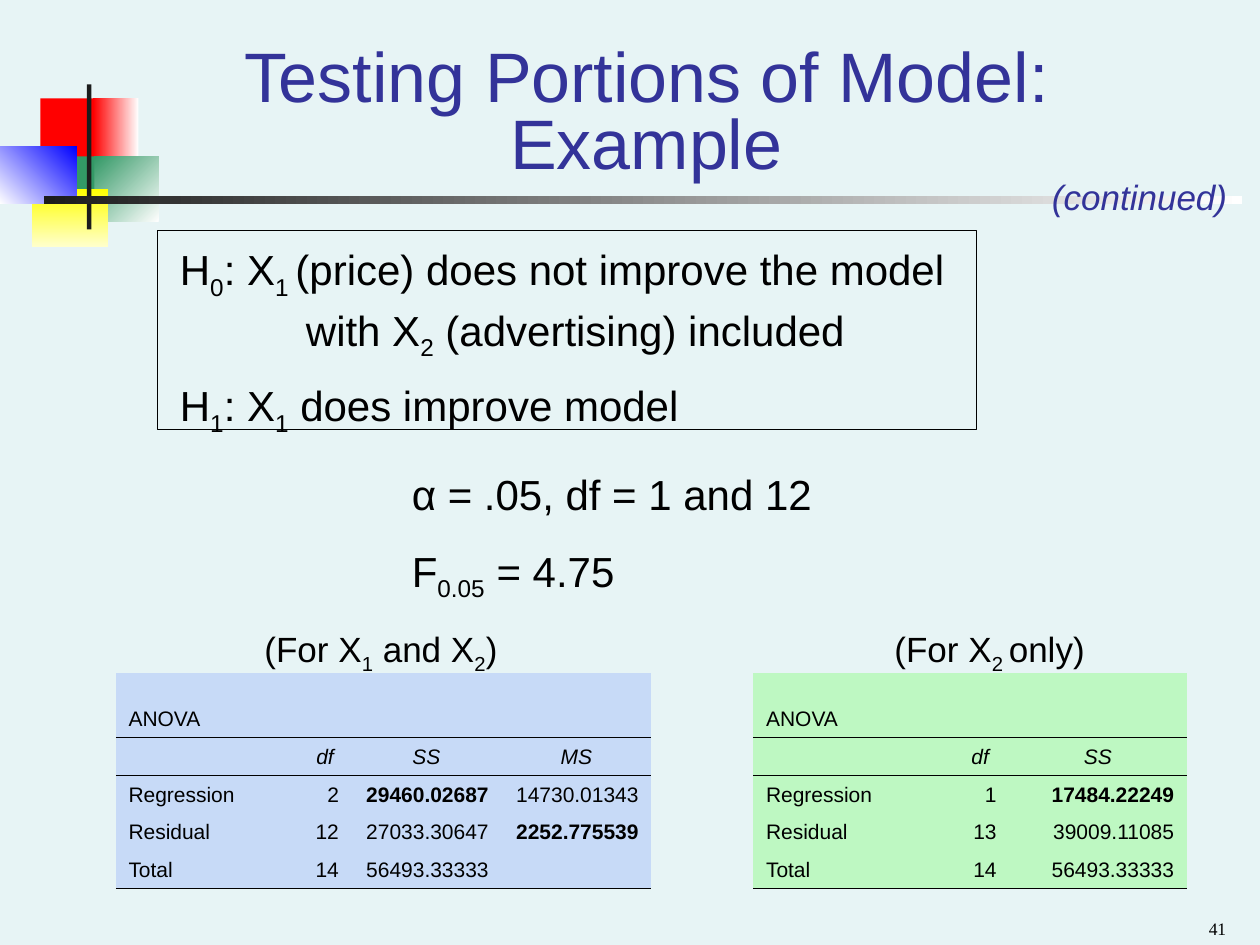
from lxml.etree import SubElement
from pptx import Presentation
from pptx.dml.color import RGBColor
from pptx.enum.shapes import MSO_SHAPE
from pptx.enum.text import MSO_ANCHOR, PP_ALIGN
from pptx.oxml.ns import qn
from pptx.util import Inches, Pt

COLORS = {
    "background": "E7F4F5", "title": "333399", "ink": "000000", "white": "FFFFFF",
    "red": "FF0000", "green": "339966", "yellow": "FFFF00", "cream": "FFFFCC",
    "blue": "0000FF", "bar": "1C1C1C", "full model": "C7DAF7", "reduced model": "BEF8C2",
}
COLUMNS, ROWS = 100, 75
WIDTH, HEIGHT = Inches(10), Inches(7.5)
PLAIN_TABLE = "{2D5ABB26-0587-4C30-8999-92F81FD0307C}"
RULED_ROWS = (0, 1, 4)
ANOVA_ROWS = (5.1, 3, 3, 3, 3)


def across(columns):
    return round(WIDTH * columns / COLUMNS)


def down(rows):
    return round(HEIGHT * rows / ROWS)


def place(box):
    left, top, width, height = box
    return across(left), down(top), across(width), down(height)


def color(name):
    return RGBColor.from_string(COLORS[name])


def write(frame, text, size=24, ink="ink", font="Arial", align=PP_ALIGN.LEFT,
          bold=False, italic=False, leading=1.0, before=0, indent=0):
    para = frame.add_paragraph() if frame.text else frame.paragraphs[0]
    para.alignment = align
    para.line_spacing = leading
    para.space_before = Pt(before)
    if indent:
        para._p.get_or_add_pPr().set("marL", str(across(indent)))
    if not text:
        SubElement(para._p, qn("a:endParaRPr"), sz=str(size * 100))
        return
    for position, piece in enumerate(text.split("|")):
        span = para.add_run()
        span.text = piece
        span.font.size = Pt(size)
        span.font.name = font
        span.font.bold = bold
        span.font.italic = italic
        span.font.color.rgb = color(ink)
        if position % 2:
            span._r.get_or_add_rPr().set("baseline", "-25000")


def add_text_area(page, box, wrap=True, anchor=MSO_ANCHOR.TOP):
    frame = page.shapes.add_textbox(*place(box)).text_frame
    frame.word_wrap = wrap
    frame.vertical_anchor = anchor
    return frame


def add_block(page, box, fills=(), angle=0):
    block = page.shapes.add_shape(MSO_SHAPE.RECTANGLE, *place(box))
    block.shadow.inherit = False
    block.line.fill.background()
    if len(fills) == 2:
        block.fill.gradient()
        block.fill.gradient_angle = angle
        for stop, name in zip(block.fill.gradient_stops, fills):
            stop.color.rgb = color(name)
    elif fills:
        block.fill.solid()
        block.fill.fore_color.rgb = color(fills[0])
    else:
        block.fill.background()
    return block


def add_ornament(page, box):
    left, top, width, height = box
    blocks = (
        (3.2, 1.1, 4.8, 5.2, ("red",), 0),
        (7.4, 1.1, 3.6, 5.2, ("white", "red"), 180),
        (7.5, 5.7, 5.1, 5.2, ("white", "green"), 135),
        (4.3, 5.7, 3.2, 5.2, ("green",), 0),
        (2.5, 8.3, 6.1, 4.6, ("yellow", "cream"), 270),
        (0, 4.9, 6.1, 4.6, ("blue", "white"), 225),
        (6.9, 0, 0.35, height, ("bar",), 0),
        (3.5, 8.9, width - 3.5, 0.6, ("white", "bar"), 180),
    )
    for x, y, block_width, block_height, fills, angle in blocks:
        add_block(page, (left + x, top + y, block_width, block_height), fills, angle)


def add_title(page, box):
    title = page.shapes.title
    title.left, title.top, title.width, title.height = place(box)
    title.text_frame.vertical_anchor = MSO_ANCHOR.BOTTOM
    write(title.text_frame, "Testing Portions of Model: Example", size=40,
          ink="title", align=PP_ALIGN.CENTER, leading=0.8)


def add_hypotheses(page, box):
    left, top, width, height = box
    frame = add_text_area(page, (left + 0.8, top + 1.7, width + 5, height - 0.6))
    write(frame, "H|0|: X|1 |(price) does not improve the model", leading=0.6)
    write(frame, "with X|2| (advertising) included", leading=0.6, before=15, indent=10)
    write(frame, "H|1|: X|1| does improve model", before=15)
    border = add_block(page, box)
    border.line.color.rgb = color("ink")
    border.line.width = Pt(0.75)


def add_critical_value(page, box):
    frame = add_text_area(page, box)
    write(frame, "α = .05, df = 1 and 12")
    write(frame, "F|0.05| = 4.75", before=15)


def rule_below(cell):
    line = SubElement(cell._tc.get_or_add_tcPr(), qn("a:lnB"), w=str(Pt(0.45)))
    fill = SubElement(line, qn("a:solidFill"))
    SubElement(fill, qn("a:srgbClr"), val=COLORS["ink"])
    cell._tc.tcPr.insert(0, line)


def add_anova(page, box, caption, caption_box, widths, entries, fill, bold, df_inset=1):
    write(add_text_area(page, caption_box), caption, size=20)
    table = page.shapes.add_table(len(entries), len(widths), *place(box)).table
    table.first_row = table.horz_banding = False
    table._tbl.tblPr.find(qn("a:tableStyleId")).text = PLAIN_TABLE
    for column, width in zip(table.columns, widths):
        column.width = across(width)
    for row, height in zip(table.rows, ANOVA_ROWS):
        row.height = down(height)
    for r, values in enumerate(entries):
        for c, value in enumerate(values):
            cell = table.cell(r, c)
            cell.fill.solid()
            cell.fill.fore_color.rgb = color(fill)
            cell.vertical_anchor = MSO_ANCHOR.BOTTOM
            heading = r == 1
            align = PP_ALIGN.CENTER if heading else PP_ALIGN.RIGHT if c else PP_ALIGN.LEFT
            write(cell.text_frame, value, size=12, align=align,
                  bold=(r, c) in bold, italic=heading)
            if r in RULED_ROWS:
                rule_below(cell)
    table.cell(1, 1).margin_left = across(df_inset)


def build_slide(deck):
    page = deck.slides.add_slide(deck.slide_layouts[5])
    page.background.fill.solid()
    page.background.fill.fore_color.rgb = color("background")
    add_ornament(page, (0, 6.7, 98.6, 11.5))
    add_title(page, (12.6, 4.2, 77.4, 10.8))
    add_hypotheses(page, (12.5, 18.3, 65, 15.8))
    add_critical_value(page, (31.7, 36.7, 35.8, 11.6))
    add_anova(
        page, (9.2, 53.4, 42.5, 17.1), "(For X|1| and X|2|)", (20, 49.3, 23.3, 4.8),
        (14.5, 4.2, 11.9, 11.9),
        (("ANOVA", "", "", ""),
         ("", "df", "SS", "MS"),
         ("Regression", "2", "29460.02687", "14730.01343"),
         ("Residual", "12", "27033.30647", "2252.775539"),
         ("Total", "14", "56493.33333", "")),
        "full model", {(2, 2), (3, 3)})
    add_anova(
        page, (59.8, 53.4, 34.4, 17.1), "(For X|2 |only)", (70, 49.3, 20.8, 4.8),
        (14.7, 5.6, 14.1),
        (("ANOVA", "", ""),
         ("", "df", "SS"),
         ("Regression", "1", "17484.22249"),
         ("Residual", "13", "39009.11085"),
         ("Total", "14", "56493.33333")),
        "reduced model", {(2, 2)}, df_inset=2)
    write(add_text_area(page, (82.5, 13.4, 15.9, 4.4), wrap=False), "(continued)",
          size=20, ink="title", italic=True)
    write(add_text_area(page, (75, 71.5, 23.3, 3.5), anchor=MSO_ANCHOR.BOTTOM), "41",
          size=10, font="Times New Roman", align=PP_ALIGN.RIGHT)


def main():
    deck = Presentation()
    deck.slide_width, deck.slide_height = WIDTH, HEIGHT
    build_slide(deck)
    deck.save("out.pptx")


if __name__ == "__main__":
    main()
